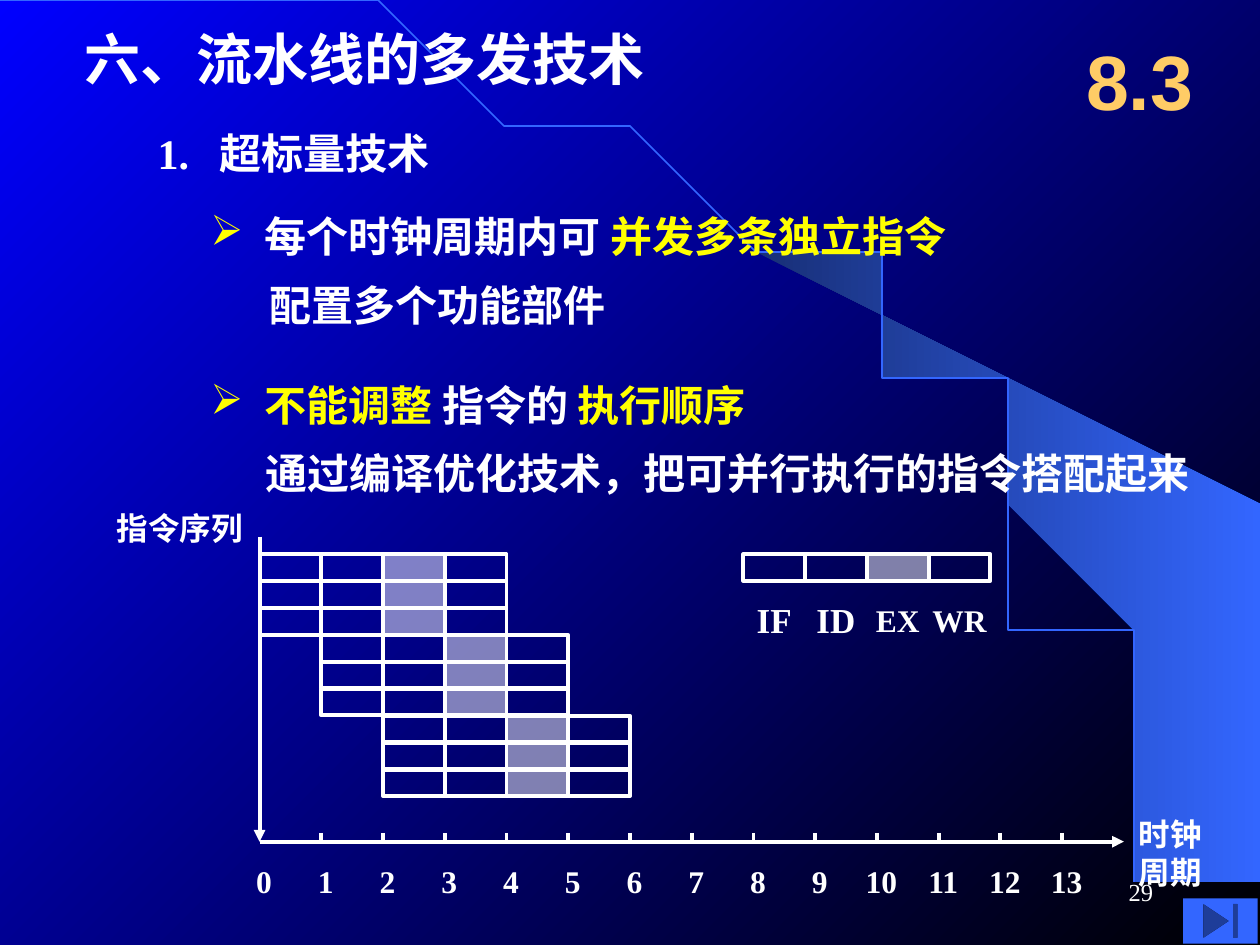
import math
from lxml import etree
from pptx import Presentation, util as u
from pptx.dml.color import RGBColor
from pptx.enum import shapes, text
from pptx.oxml.ns import qn

I = u.Inches
C = dict(white="FFFFFF", yellow="FFFF00", gold="FFCC66", blue="3366FF",
         deep="182F76", bg1="0000FF", bg2="000000")
SERIF = "Times New Roman"
LEFT, CENTER, RIGHT = text.PP_ALIGN.LEFT, text.PP_ALIGN.CENTER, text.PP_ALIGN.RIGHT
MIDDLE, TOP = text.MSO_ANCHOR.MIDDLE, text.MSO_ANCHOR.TOP

# Content
TITLE = "六、流水线的多发技术"
HEADING = "1.\t超标量技术"
BULLETS = [  # top, runs of (text, colour)
    (1.58, [("每个时钟周期内可 ", "white"), ("并发多条独立指令", "yellow")]),
    (2.92, [("不能调整 ", "yellow"), ("指令的 ", "white"), ("执行顺序", "yellow")]),
]
DETAILS = [  # left, top, text
    (2.04, 2.17, "配置多个功能部件"),
    (2.01, 3.5, "通过编译优化技术，把可并行执行的指令搭配起来"),
]
STAGES = [("IF", 20), ("ID", 20), ("EX", 18), ("WR", 18)]
EX = 2  # index of the shaded stage
GROUPS, ISSUE, CYCLES = 3, 3, 13
WING = [(9.2, 7.48), (9.99, 7.49), (9.99, 4.23), (5.89, 1.73), (6.24, 1.99),
        (6.53, 2.22), (6.85, 2.5), (7.16, 2.8), (7.62, 3.3), (8.03, 3.84),
        (8.32, 4.31), (8.58, 4.79), (8.78, 5.28), (8.93, 5.72), (9.03, 6.09),
        (9.13, 6.56), (9.17, 6.96)]

# Diagram grid
X0, Y0, AXIS_Y = 2.06, 4.4, 6.68
CELL_W, ROW = 0.49, 0.2135
LEGEND_X = 5.9

prs = Presentation()
prs.slide_width, prs.slide_height = I(10), I(7.5)
s = prs.slides.add_slide(prs.slide_layouts[5])


def rgb(name):
    return RGBColor.from_string(C[name])


def gradient(fill, start, end, angle):
    fill.gradient()
    fill.gradient_angle = angle
    for stop, name in zip(fill.gradient_stops, (start, end)):
        stop.color.rgb = rgb(name)


def outline(points, close):
    fb = s.shapes.build_freeform(*points[0], scale=I(1))
    fb.add_line_segments(points[1:], close=close)
    sp = fb.convert_to_shape()
    sp.shadow.inherit = False
    return sp


def write(sp, paras, size, align=LEFT, anchor=TOP, inset=0.1, font=SERIF, bold=True):
    """Fill a shape with paragraphs, each a list of (text, colour) runs."""
    tf = sp.text_frame
    tf.word_wrap, tf.auto_size = True, text.MSO_AUTO_SIZE.NONE
    tf.vertical_anchor = anchor
    tf.margin_left = tf.margin_right = I(inset)
    tf.margin_top = tf.margin_bottom = I(0.05)
    for i, runs in enumerate(paras):
        p = tf.add_paragraph() if i else tf.paragraphs[0]
        p.alignment = align
        for words, color in runs:
            r = p.add_run()
            r.text = words
            r.font.color.rgb = rgb(color)
        p.font.size, p.font.bold, p.font.name = u.Pt(size), bold, font
    return tf


def label(x, y, w, h, words, size, color="white", **style):
    sp = s.shapes.add_textbox(I(x), I(y), I(w), I(h))
    return write(sp, [[(line, color)] for line in words.split("\n")], size, **style)


def hang(p, width, bullet=None):
    """Hanging indent, with a tab stop or a bullet at its edge."""
    pPr = p._p.get_or_add_pPr()
    pPr.set("marL", str(I(width)))
    pPr.set("indent", str(-I(width)))
    if bullet:
        clr = etree.Element(qn("a:buClr"))
        etree.SubElement(clr, qn("a:srgbClr"), val=C["yellow"])
        parts = [clr, etree.Element(qn("a:buChar"), char=bullet)]
    else:
        tabs = etree.Element(qn("a:tabLst"))
        etree.SubElement(tabs, qn("a:tab"), pos=str(I(width)), algn="l")
        parts = [tabs]
    for i, part in enumerate(parts):
        pPr.insert(i, part)


def cell(x, y, shaded):
    sp = s.shapes.add_shape(shapes.MSO_SHAPE.RECTANGLE, I(x), I(y), I(CELL_W), I(0.21))
    sp.shadow.inherit = False
    sp.line.color.rgb, sp.line.width = rgb("white"), u.Pt(2.25)
    if shaded:
        sp.fill.solid()
        sp.fill.fore_color.rgb = rgb("white")
        clr = sp._element.spPr.find(".//" + qn("a:srgbClr"))
        etree.SubElement(clr, qn("a:alpha"), val="50000")
    else:
        sp.fill.background()


def pipeline(x, y):
    for i in range(len(STAGES)):
        cell(x + i * CELL_W, y, i == EX)


def line(x1, y1, x2, y2, arrow=False):
    cx = s.shapes.add_connector(shapes.MSO_CONNECTOR.STRAIGHT, I(x1), I(y1), I(x2), I(y2))
    cx.line.color.rgb, cx.line.width = rgb("white"), u.Pt(2.25)
    if arrow:
        etree.SubElement(cx.line._get_or_add_ln(), qn("a:tailEnd"), type="triangle")
    etree.SubElement(cx._element.spPr, qn("a:effectLst"))


# Background, wing and quarter-ellipse arc
gradient(s.background.fill, "bg1", "bg2", 315)
wing = outline(WING, True)
gradient(wing.fill, "deep", "blue", 0)
wing.line.fill.background()
angles = [math.radians(a * 1.5) for a in range(61)]
arc = outline([(9.2 * math.sin(a), 7.49 * (1 - math.cos(a))) for a in angles], False)
arc.fill.background()
arc.line.color.rgb, arc.line.width = rgb("blue"), u.Pt(1)

# Title, raised above the background shapes
title = s.shapes.title
title.left, title.top, title.width, title.height = I(0.67), I(0.17), I(5.9), I(0.58)
write(title, [[(TITLE, "white")]], 32, anchor=MIDDLE, inset=0)
s.shapes._spTree.append(title._element)

# Heading, bullets and details
tf = label(1.25, 0.92, 2.58, 0.58, HEADING, 24, anchor=MIDDLE, inset=0)
hang(tf.paragraphs[0], 0.49)
for top, runs in BULLETS:
    sp = s.shapes.add_textbox(I(1.67), I(top), I(6.58), I(0.58))
    tf = write(sp, [runs], 24, anchor=MIDDLE, inset=0)
    hang(tf.paragraphs[0], 0.43, "➢")
for x, y, words in DETAILS:
    label(x, y, 7.9, 0.5, words, 24)
label(8.42, 0.17, 1.25, 0.92, "8.3", 44, "gold", align=CENTER, anchor=MIDDLE, font="Arial")

# Pipeline rows: each group starts one cycle later
for row in range(GROUPS * ISSUE):
    pipeline(X0 + row // ISSUE * CELL_W, Y0 + row * ROW)

# Legend
pipeline(LEGEND_X, Y0)
for i, (stage, size) in enumerate(STAGES):
    label(LEGEND_X + (i - 0.1) * CELL_W, 4.7, CELL_W * 1.2, 0.44, stage, size,
          align=CENTER, anchor=MIDDLE, inset=0)

# Axes, ticks and cycle numbers
line(X0, 4.26, X0, AXIS_Y, arrow=True)
line(X0, AXIS_Y, 8.92, AXIS_Y, arrow=True)
for n in range(CYCLES + 1):
    x = X0 + n * CELL_W
    if n:
        line(x, 6.61, x, AXIS_Y)
    label(x - 0.21, 6.79, CELL_W, 0.4, str(n), 18, align=CENTER, inset=0)
label(8.94, 6.42, 1, 0.7, "时钟\n周期", 18)
label(0.83, 3.99, 1.34, 0.4, "指令序列", 18)

# Navigation button and page number
button = s.shapes.add_shape(shapes.MSO_SHAPE.ACTION_BUTTON_END,
                            I(9.39), I(7.13), I(0.59), I(0.36))
button.shadow.inherit = False
button.fill.solid()
button.fill.fore_color.rgb = rgb("blue")
button.line.fill.background()
label(7.17, 6.83, 2.08, 0.5, "29", 14, align=RIGHT, anchor=MIDDLE, bold=False)

prs.save("out.pptx")
